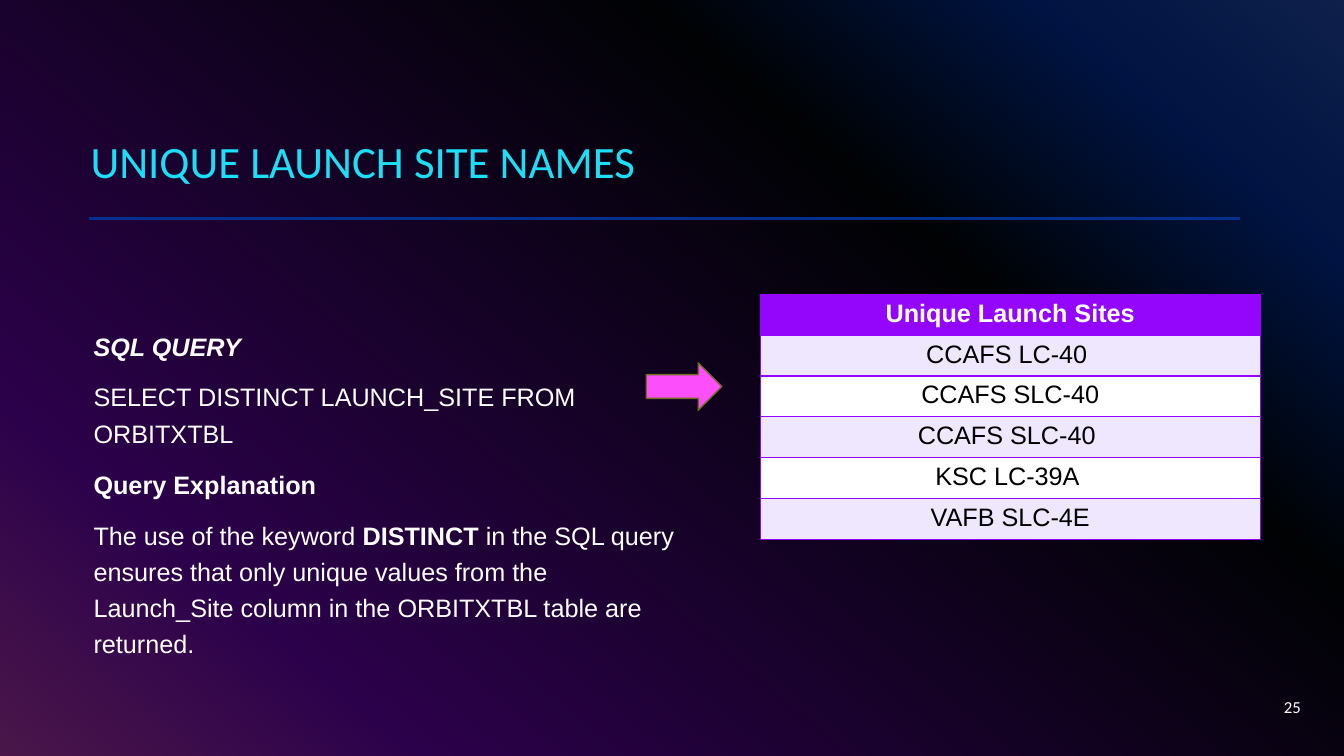
from lxml.etree import SubElement
from pptx import Presentation
from pptx.dml.color import RGBColor
from pptx.enum.shapes import MSO_CONNECTOR, MSO_SHAPE
from pptx.enum.text import MSO_ANCHOR, PP_ALIGN
from pptx.oxml.ns import qn
from pptx.util import Inches, Pt

W, H = 13.33, 7.5
COLORS = {"title": "1CDFF5", "rule": "03308F", "purple": "9405FC", "pink": "FC4EFB",
          "olive": "6E6A21", "white": "FFFFFF", "black": "000000", "lilac": "EEE7FE"}
GRADIENT = [(0, "316CFC"), (14, "0343DF"), (31, "02090E"), (81, "9405FC"), (100, "FC4EFB")]
SITES = ["CCAFS LC-40 ", "CCAFS SLC-40", "CCAFS SLC-40 ", "KSC LC-39A ", "VAFB SLC-4E"]
QUERY = [[("SQL QUERY", {"bold": True, "italic": True})],
         [("SELECT DISTINCT LAUNCH_SITE FROM ORBITXTBL", {})]]
EXPLANATION = [[("Query Explanation", {"bold": True})],
               [("The use of the keyword ", {}), ("DISTINCT", {"bold": True}),
                (" in the SQL query ensures that only unique values from the "
                 "Launch_Site column in the ORBITXTBL table are returned.", {})]]


def rgb(name):
    """Return the named colour."""
    return RGBColor.from_string(COLORS[name])


def inches(box):
    """Convert a box in inches to lengths."""
    return [Inches(v) for v in box]


def add_run(p, text, size=18, font="Arial", color="white", bold=False, italic=False):
    """Append a formatted run to a paragraph."""
    r = p.add_run()
    r.text = text
    r.font.size, r.font.name = Pt(size), font
    r.font.bold, r.font.italic = bold, italic
    r.font.color.rgb = rgb(color)


def add_text(s, box, paragraphs, anchor=MSO_ANCHOR.TOP, align=PP_ALIGN.LEFT,
             spacing=1.2, before=10):
    """Add a wrapped text box of paragraphs made of (text, format) runs."""
    tf = s.shapes.add_textbox(*inches(box)).text_frame
    tf.word_wrap, tf.vertical_anchor = True, anchor
    for i, runs in enumerate(paragraphs):
        p = tf.add_paragraph() if i else tf.paragraphs[0]
        p.alignment, p.line_spacing, p.space_before = align, spacing, Pt(before)
        for text, fmt in runs:
            add_run(p, text, **fmt)


def add_background(s, box):
    """Fill the slide with the gradient and darken it with a translucent panel."""
    fill = s.background.fill
    fill.gradient()
    fill.gradient_angle = 360 - 130
    stops = next(s.element.iter(qn("a:gsLst")))
    for stop in list(stops):
        stops.remove(stop)
    for pos, color in GRADIENT:
        stop = SubElement(stops, qn("a:gs"), pos=str(pos * 1000))
        SubElement(stop, qn("a:srgbClr"), val=color)
    sp = s.shapes.add_shape(MSO_SHAPE.RECTANGLE, *inches(box))
    sp.shadow.inherit = False
    sp.fill.solid()
    sp.fill.fore_color.rgb = rgb("black")
    sp.line.fill.background()
    color = next(sp.element.spPr.iter(qn("a:srgbClr")))
    SubElement(color, qn("a:alpha"), val="70000")


def add_header(s, box):
    """Place the title with a rule a little below it."""
    x, y, w, h = box
    add_text(s, box, [[("UNIQUE LAUNCH SITE NAMES",
                        {"size": 32, "font": "Calibri", "color": "title"})]],
             anchor=MSO_ANCHOR.BOTTOM, spacing=0.9, before=0)
    left, top = x + 0.08, y + h + 0.25
    line = s.shapes.add_connector(MSO_CONNECTOR.STRAIGHT,
                                  *inches((left, top, x + w, top)))
    line.line.color.rgb, line.line.width = rgb("rule"), Pt(2)
    SubElement(line.element.spPr, qn("a:effectLst"))


def add_query(s, box):
    """Place the query above its explanation."""
    x, y, w, h = box
    add_text(s, (x, y, w - 0.8, h / 3), QUERY)
    add_text(s, (x, y + 1.37, w, h - 1.37), EXPLANATION)


def add_arrow(s, box):
    """Place the arrow that points from the query to its result."""
    sp = s.shapes.add_shape(MSO_SHAPE.RIGHT_ARROW, *inches(box))
    sp.shadow.inherit = False
    sp.fill.solid()
    sp.fill.fore_color.rgb = rgb("pink")
    sp.line.color.rgb, sp.line.width = rgb("olive"), Pt(1)


def fill_cell(cell, text, fill, **fmt):
    """Write a centred, bordered and filled cell."""
    p = cell.text_frame.paragraphs[0]
    p.alignment = PP_ALIGN.CENTER
    add_run(p, text, **fmt)
    tcPr = cell._tc.get_or_add_tcPr()
    for side in ("a:lnL", "a:lnR", "a:lnT", "a:lnB"):
        ln = SubElement(tcPr, qn(side), w=str(Pt(1)))
        SubElement(SubElement(ln, qn("a:solidFill")), qn("a:srgbClr"), val=COLORS["purple"])
    cell.fill.solid()
    cell.fill.fore_color.rgb = rgb(fill)


def add_site_table(s, box):
    """Place the one-column table of launch sites."""
    rows = len(SITES) + 1
    table = s.shapes.add_table(rows, 1, *inches(box)).table
    for row in table.rows:
        row.height = Inches(box[3] / rows)
    fill_cell(table.cell(0, 0), "Unique Launch Sites", "purple", bold=True)
    for i, site in enumerate(SITES, 1):
        fill_cell(table.cell(i, 0), site, "lilac" if i % 2 else "white", color="black")


def add_page_number(s, box):
    """Place the page number at the right of its box."""
    add_text(s, box, [[("25", {"size": 12, "font": "Calibri"})]],
             anchor=MSO_ANCHOR.MIDDLE, align=PP_ALIGN.RIGHT, spacing=1.0, before=0)


def main():
    """Build and save the slide."""
    prs = Presentation()
    prs.slide_width, prs.slide_height = Inches(W), Inches(H)
    s = prs.slides.add_slide(prs.slide_layouts[6])
    add_background(s, (0, 0, W, H))
    add_header(s, (0.8, 0.47, 11.5, 1.45))
    add_query(s, (0.83, 3.18, 6.1, 3.38))
    add_site_table(s, (7.54, 2.92, 4.96, 2.43))
    add_arrow(s, (6.41, 3.6, 0.75, 0.47))
    add_page_number(s, (10, 6.81, 3, 0.4))
    prs.save("out.pptx")


if __name__ == "__main__":
    main()
